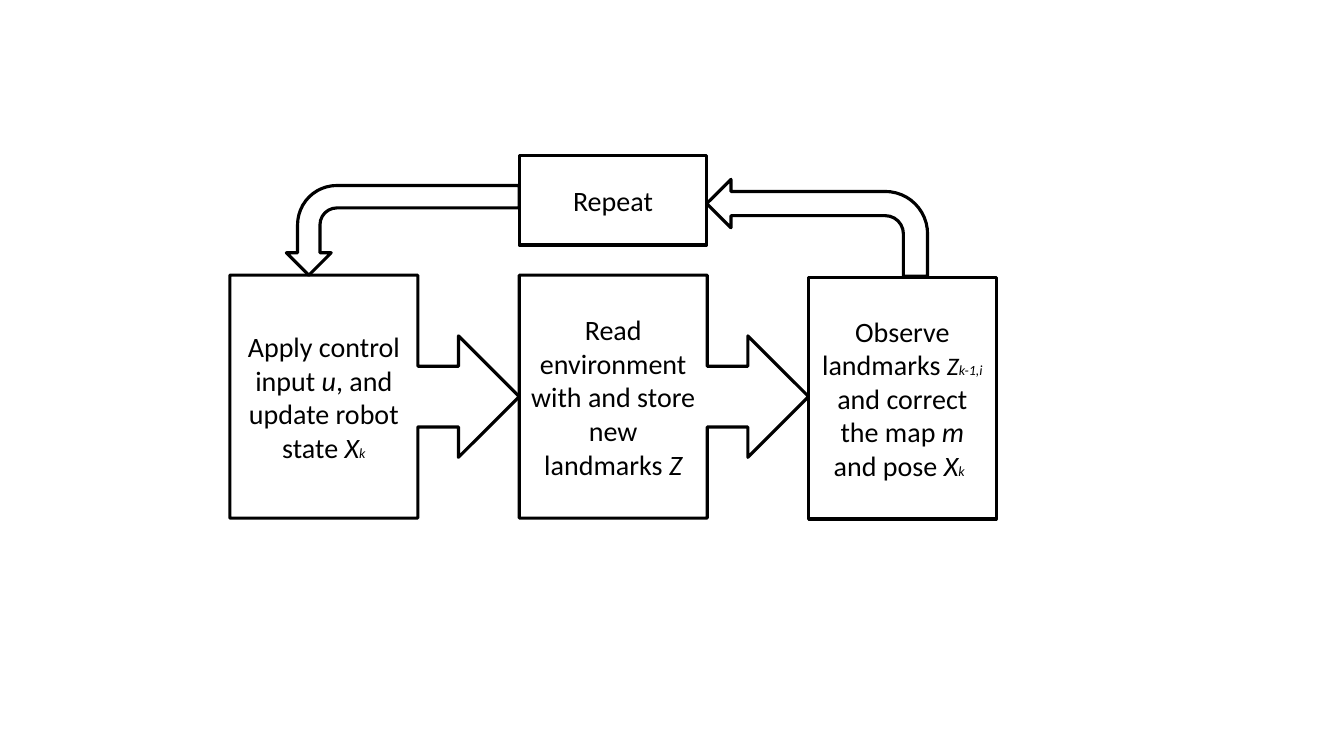
from pptx import Presentation
from pptx import util as u
from pptx.dml import color
from pptx.enum import shapes, text

COLORS = {"paper": "FFFFFF", "ink": "000000"}
FONT = "Calibri"
BODY, SYMBOL, SUBSCRIPT = 20, 18, 10
LEFT, PITCH, BOX_WIDTH = 2.28, 2.87, 1.86
STEP_TOP, STEP_HEIGHT = 2.73, 2.41
REPEAT_TOP, REPEAT_HEIGHT = 1.54, 0.89
PRESET = shapes.MSO_SHAPE


def column(index):
    return LEFT + index * PITCH


def rgb(name):
    return color.RGBColor.from_string(COLORS[name])


def add_outlined(slide, preset, left, top, width, height):
    shape = slide.shapes.add_shape(
        preset, *(u.Inches(value) for value in (left, top, width, height)))
    shape.shadow.inherit = False
    shape.fill.solid()
    shape.fill.fore_color.rgb = rgb("paper")
    shape.line.color.rgb = rgb("ink")
    shape.line.width = u.Pt(2.25)
    return shape


def add_box(slide, preset, left, top, width, height, runs):
    shape = add_outlined(slide, preset, left, top, width, height)
    frame = shape.text_frame
    frame.word_wrap = True
    frame.vertical_anchor = text.MSO_ANCHOR.MIDDLE
    paragraph = frame.paragraphs[0]
    paragraph.alignment = text.PP_ALIGN.CENTER
    for words, size, italic in runs:
        run = paragraph.add_run()
        run.text = words
        run.font.name = FONT
        run.font.size = u.Pt(size)
        run.font.italic = italic
        run.font.color.rgb = rgb("ink")


def add_bent_arrow(slide, left, top, width, height, flip, rotation=0):
    shape = add_outlined(slide, PRESET.BENT_ARROW, left, top, width, height)
    shape.rotation = rotation
    shape._element.spPr.xfrm.set(flip, "1")


def main():
    presentation = Presentation()
    presentation.slide_width = u.Inches(13.33)
    presentation.slide_height = u.Inches(7.5)
    slide = presentation.slides.add_slide(presentation.slide_layouts[6])

    callouts = [
        [("Apply control input ", BODY, False), ("u", BODY, True),
         (", and update robot state ", BODY, False),
         ("X", BODY, True), ("k", SUBSCRIPT, True)],
        [("Read environment with and store new landmarks ", BODY, False),
         ("Z", BODY, True)],
    ]
    for index, runs in enumerate(callouts):
        add_box(slide, PRESET.RIGHT_ARROW_CALLOUT, column(index), STEP_TOP,
                PITCH, STEP_HEIGHT, runs)

    add_bent_arrow(slide, column(1) + BOX_WIDTH, 1.78, 2.19, 0.96, "flipH")
    add_bent_arrow(slide, 3.55, 1.13, 0.89, 2.31, "flipV", 90)

    observe = [
        ("Observe landmarks ", BODY, False), ("Z", SYMBOL, True),
        ("k-1,i", SUBSCRIPT, True), (" and correct the map", BODY, False),
        (" m", BODY, True), (" and pose ", BODY, False),
        ("X", BODY, True), ("k", SUBSCRIPT, True), (" ", BODY, True),
    ]
    add_box(slide, PRESET.RECTANGLE, column(2), STEP_TOP + 0.02, BOX_WIDTH,
            STEP_HEIGHT - 0.01, observe)
    add_box(slide, PRESET.RECTANGLE, column(1), REPEAT_TOP, BOX_WIDTH,
            REPEAT_HEIGHT, [("Repeat", BODY, False)])
    presentation.save("out.pptx")


if __name__ == "__main__":
    main()
